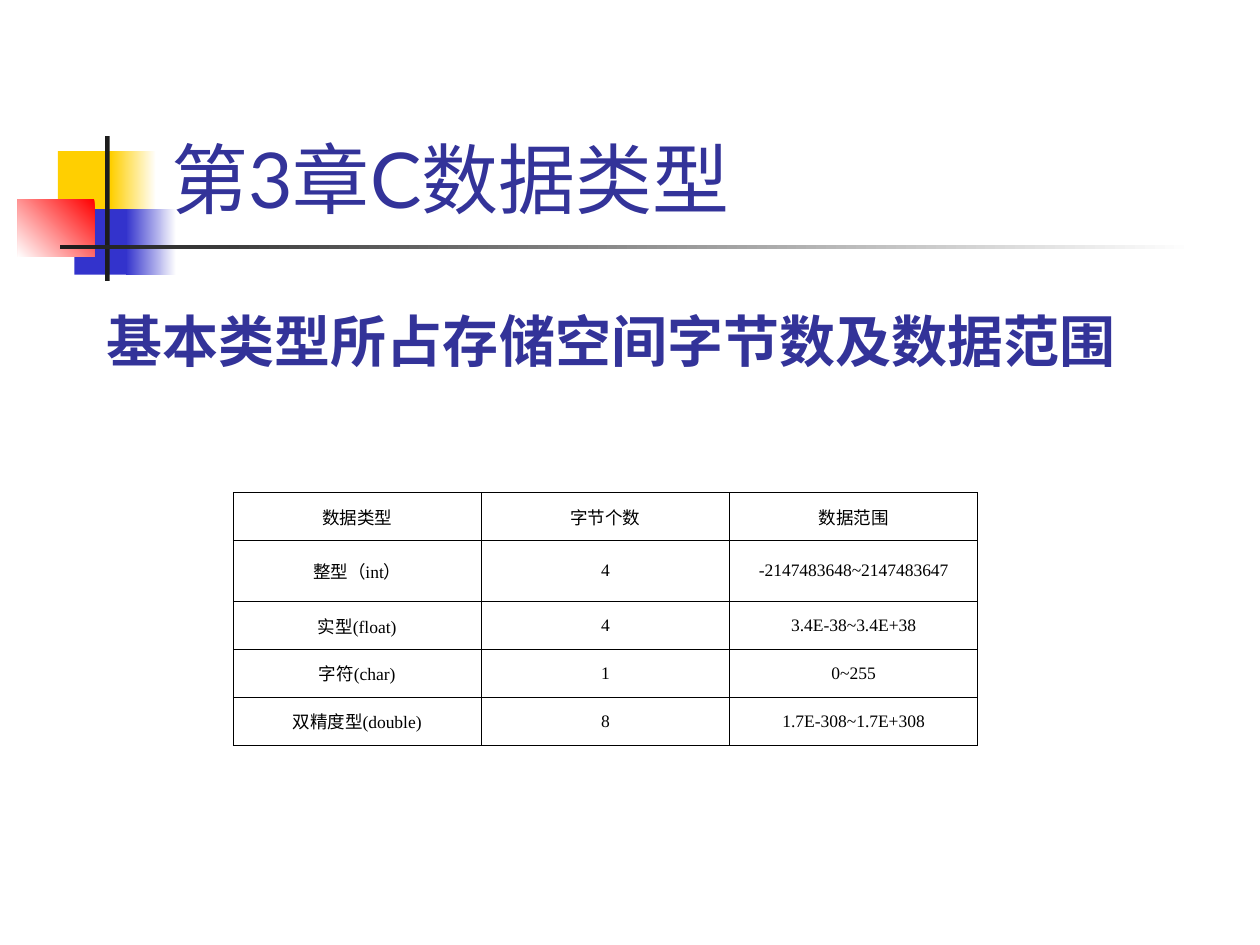
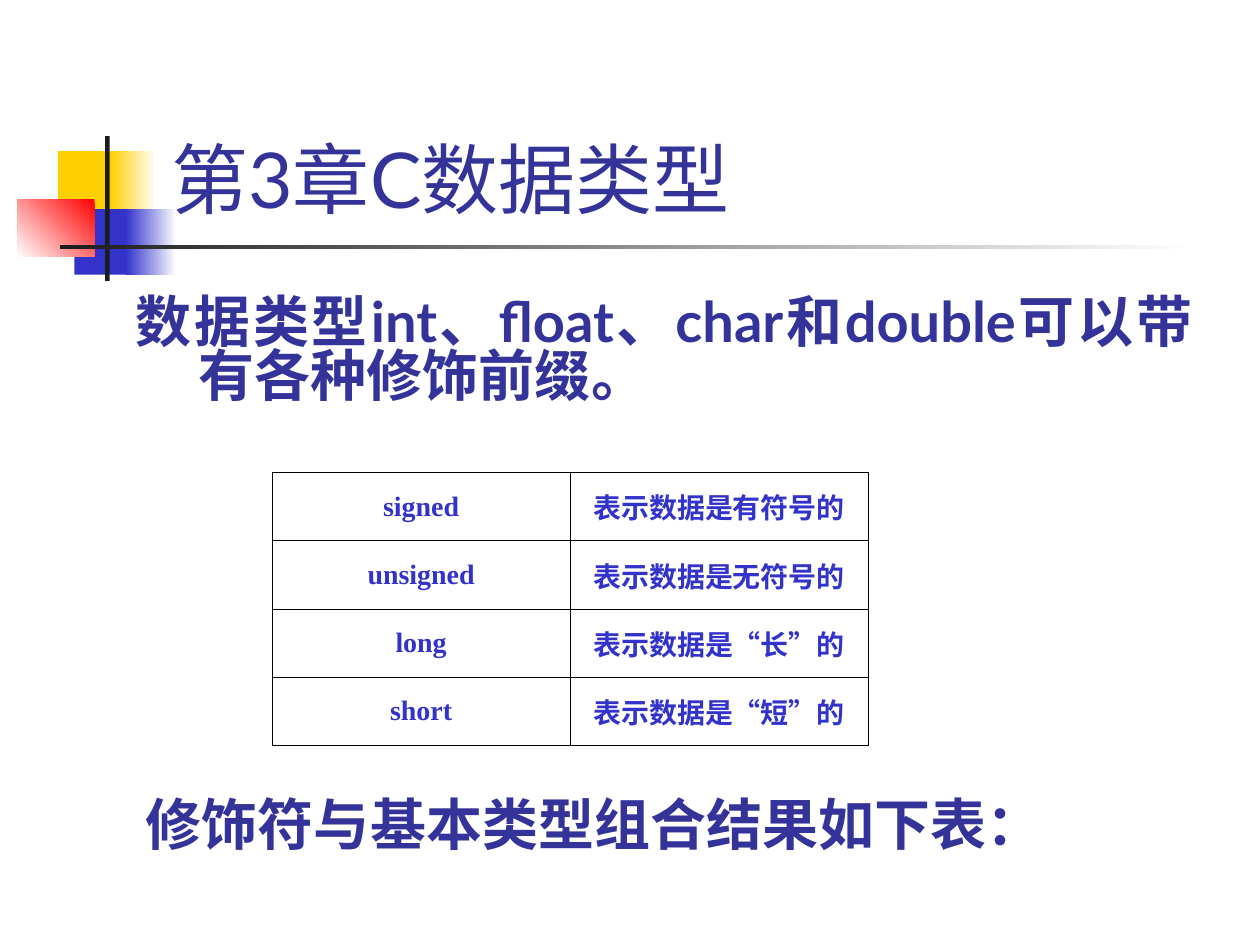
from lxml import etree
from pptx import Presentation
from pptx.dml.color import RGBColor
from pptx.enum.shapes import MSO_SHAPE
from pptx.enum.text import MSO_ANCHOR, PP_ALIGN
from pptx.oxml.ns import qn
from pptx.util import Inches, Pt

# Shared style
NAVY, BLUE, YELLOW, RED = "333399", "3333CC", "FFCF01", "FF0000"
DARK, WHITE, BLACK = "1C1C1C", "FFFFFF", "000000"
LATO, TIMES = "Lato", "Times New Roman"
COLUMNS, ROWS = 100, 75  # grid laid over the whole slide


def rgb(color):
    return RGBColor.from_string(color)


def write(tf, text, size, font=LATO, color=NAVY, bold=False,
          align=PP_ALIGN.LEFT, hanging=0, spacing=1.0):
    """Fill a text frame with one formatted paragraph."""
    p = tf.paragraphs[0]
    p.alignment, p.line_spacing = align, spacing
    pPr = p._p.get_or_add_pPr()
    pPr.set("marL", str(Inches(hanging)))
    pPr.set("indent", str(-Inches(hanging)))
    r = p.add_run()
    r.text = text
    r.font.name, r.font.size, r.font.bold = font, Pt(size), bold
    r.font.color.rgb = rgb(color)
    r._r.get_or_add_rPr().set("lang", "zh-CN")


def draw_border(cell, color=BLACK, width=0.45):
    tcPr = cell._tc.get_or_add_tcPr()
    for side in ("a:lnL", "a:lnR", "a:lnT", "a:lnB"):
        ln = etree.SubElement(tcPr, qn(side), w=str(Pt(width)))
        fill = etree.SubElement(ln, qn("a:solidFill"))
        etree.SubElement(fill, qn("a:srgbClr"), val=color)


class Deck:
    def __init__(self):
        self.prs = Presentation()
        self.prs.slide_width, self.prs.slide_height = Inches(10), Inches(7.5)
        self.s = None

    def x(self, columns):
        return round(self.prs.slide_width * columns / COLUMNS)

    def y(self, rows):
        return round(self.prs.slide_height * rows / ROWS)

    def box(self, left, top, width, height):
        return self.x(left), self.y(top), self.x(width), self.y(height)

    def slide(self, title):
        self.s = self.prs.slides.add_slide(self.prs.slide_layouts[6])
        self.ornament()
        self.text(title, 12.6, 2.3, 85.2, 16, size=44,
                  anchor=MSO_ANCHOR.BOTTOM)

    def rect(self, left, top, width, height, color, end=None, angle=180):
        """Rectangle in one colour, or fading from color to end."""
        sp = self.s.shapes.add_shape(MSO_SHAPE.RECTANGLE,
                                     *self.box(left, top, width, height))
        sp.shadow.inherit = False
        sp.line.fill.background()
        if end is None:
            sp.fill.solid()
            sp.fill.fore_color.rgb = rgb(color)
        else:
            sp.fill.gradient()
            sp.fill.gradient_angle = angle
            for stop, shade in zip(sp.fill.gradient_stops, (color, end)):
                stop.color.rgb = rgb(shade)

    def ornament(self):
        # Coloured squares, each fading out
        self.rect(4.6, 12, 4.8, 5.2, YELLOW)
        self.rect(8.8, 12, 3.6, 5.2, WHITE, YELLOW)
        self.rect(5.9, 16.6, 4.6, 5.2, BLUE)
        self.rect(10, 16.6, 4, 5.2, WHITE, BLUE)
        self.rect(1.4, 15.8, 6.1, 4.6, RED, WHITE, angle=225)
        # Crossing bars
        self.rect(8.35, 10.8, 0.35, 11.5, DARK)
        self.rect(4.8, 19.45, 90, 0.35, WHITE, DARK)

    def text(self, text, left, top, width, height,
             anchor=MSO_ANCHOR.TOP, **style):
        sp = self.s.shapes.add_textbox(*self.box(left, top, width, height))
        tf = sp.text_frame
        tf.word_wrap, tf.vertical_anchor = True, anchor
        write(tf, text, **style)

    def statement(self, text, left, top, width, height):
        self.text(text, left, top, width, height, size=32, bold=True,
                  align=PP_ALIGN.JUSTIFY, hanging=0.5, spacing=0.8)

    def table(self, data, left, top, width, heights, **style):
        frame = self.s.shapes.add_table(
            len(data), len(data[0]),
            *self.box(left, top, width, sum(heights)))
        table = frame.table
        table.first_row = table.horz_banding = False
        for row, height, values in zip(table.rows, heights, data):
            row.height = self.y(height)
            for cell, value in zip(row.cells, values):
                cell.vertical_anchor = MSO_ANCHOR.MIDDLE
                draw_border(cell)
                cell.fill.background()
                write(cell.text_frame, value, font=TIMES,
                      align=PP_ALIGN.CENTER, hanging=0.38, **style)


def main():
    deck = Deck()
    chapter = "第3章C数据类型"

    # Sizes and ranges of the basic types
    deck.slide(chapter)
    basic_types = [
        ("数据类型", "字节个数", "数据范围"),
        ("整型（int）", "4", "-2147483648~2147483647"),
        ("实型(float)", "4", "3.4E-38~3.4E+38"),
        ("字符(char)", "1", "0~255"),
        ("双精度型(double)", "8", "1.7E-308~1.7E+308"),
    ]
    deck.table(basic_types, 18.5, 39.1, 59.1, [3.8, 4.85, 3.8, 3.8, 3.8],
               size=10, color=BLACK)
    deck.statement("基本类型所占存储空间字节数及数据范围", 7.5, 24.9, 85, 9.4)

    # Modifier prefixes
    deck.slide(chapter)
    deck.statement("数据类型int、float、char和double可以带有各种修饰前缀。",
                   9.8, 23.3, 85.8, 11.8)
    modifiers = [
        ("signed", "表示数据是有符号的"),
        ("unsigned", "表示数据是无符号的"),
        ("long", "表示数据是“长”的"),
        ("short", "表示数据是“短”的"),
    ]
    deck.table(modifiers, 21.6, 37.5, 47.3, [5.42] * len(modifiers),
               size=16, color=BLUE, bold=True)
    deck.statement("修饰符与基本类型组合结果如下表：", 10.6, 63.2, 85.8, 9.7)

    deck.prs.save("out.pptx")


if __name__ == "__main__":
    main()
